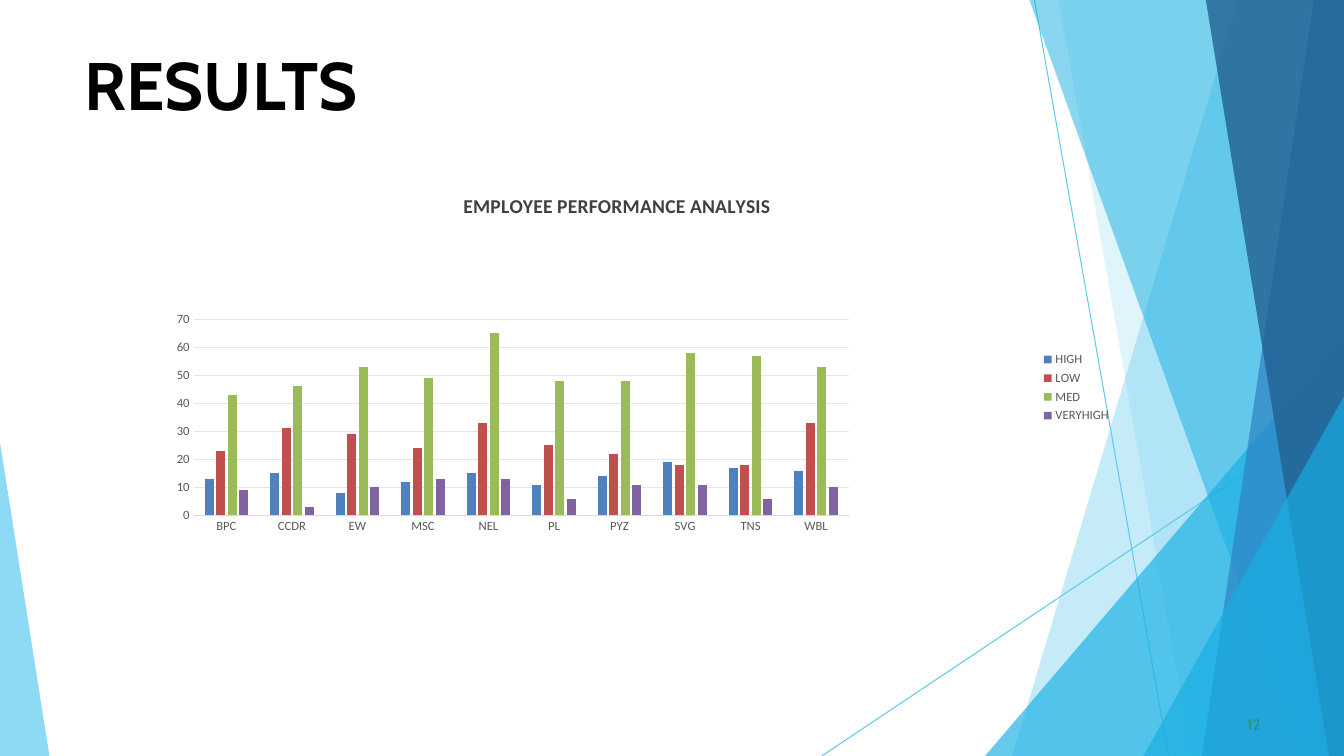
from lxml.etree import SubElement
from pptx import Presentation
from pptx.chart.data import CategoryChartData
from pptx.dml.color import RGBColor
from pptx.enum.chart import XL_CHART_TYPE, XL_LEGEND_POSITION, XL_TICK_MARK
from pptx.enum.shapes import MSO_CONNECTOR
from pptx.oxml.ns import qn
from pptx.util import Inches, Pt

WIDE, HIGH = 13.33, 7.5

BLACK = RGBColor(0x00, 0x00, 0x00)
GREEN = RGBColor(0x2D, 0x93, 0x6B)
SKY = RGBColor(0x5F, 0xCA, 0xEE)
CYAN = RGBColor(0x17, 0xAF, 0xE3)
BLUE = RGBColor(0x2D, 0x83, 0xC3)
NAVY = RGBColor(0x22, 0x61, 0x92)
DARK = RGBColor(0x40, 0x40, 0x40)
GREY = RGBColor(0x59, 0x59, 0x59)
AXIS = RGBColor(0xD9, 0xD9, 0xD9)
GRID = RGBColor(0xE6, 0xE6, 0xE6)

TEAMS = ["BPC", "CCDR", "EW", "MSC", "NEL", "PL", "PYZ", "SVG", "TNS", "WBL"]
LEVELS = [
    ("HIGH", RGBColor(0x4F, 0x81, 0xBD), [13, 15, 8, 12, 15, 11, 14, 19, 17, 16]),
    ("LOW", RGBColor(0xC0, 0x50, 0x4D), [23, 31, 29, 24, 33, 25, 22, 18, 18, 33]),
    ("MED", RGBColor(0x9B, 0xBB, 0x59), [43, 46, 53, 49, 65, 48, 48, 58, 57, 53]),
    ("VERYHIGH", RGBColor(0x80, 0x64, 0xA2), [9, 3, 10, 13, 13, 6, 11, 11, 6, 10]),
]


def band(top, base):
    """Full-height facet from a slanted left edge to the right of the slide."""
    return [(WIDE, 0), (top, 0), (base, HIGH), (WIDE, HIGH)]


def wedge(top, base):
    """Triangle in the bottom right corner."""
    return [(WIDE, top), (base, HIGH), (WIDE, HIGH)]


FACETS = [
    (band(12.28, 10.04), SKY, 36),
    (band(10.5, 11.82), SKY, 20),
    (wedge(3.33, 9.77), CYAN, 66),
    (band(10.21, 12.91), CYAN, 50),
    (band(13.03, 11.92), BLUE, 70),
    (band(11.96, 13.18), NAVY, 80),
    (wedge(3.93, 11.34), CYAN, 66),
    ([(0, 4.39), (0, HIGH), (0.49, HIGH)], SKY, 70),
]


class Deck:
    def __init__(self):
        self.file = Presentation()
        self.file.slide_width = Inches(WIDE)
        self.file.slide_height = Inches(HIGH)
        self.slide = self.file.slides.add_slide(self.file.slide_layouts[6])
        self.shapes = self.slide.shapes
        self.face = "Cabin"
        self.plain = "Calibri"

    def style(self, font, face, size, color, bold=False):
        font.name = face
        font.size = Pt(size)
        font.color.rgb = color
        font.bold = bold

    def line(self, x1, y1, x2, y2):
        ends = [Inches(v) for v in (x1, y1, x2, y2)]
        line = self.shapes.add_connector(MSO_CONNECTOR.STRAIGHT, *ends)
        line.line.color.rgb = SKY
        line.line.width = Pt(0.75)
        SubElement(line._element.spPr, qn("a:effectLst"))

    def facet(self, points, color, alpha):
        spots = [(Inches(x), Inches(y)) for x, y in points]
        pen = self.shapes.build_freeform(*spots[0])
        pen.add_line_segments(spots[1:], close=True)
        shape = pen.convert_to_shape()
        shape.shadow.inherit = False
        shape.line.fill.background()
        shape.fill.solid()
        shape.fill.fore_color.rgb = color
        tint = shape._element.spPr.find(qn("a:solidFill"))[0]
        SubElement(tint, qn("a:alpha"), val=str(alpha * 1000))

    def text(self, words, box, size, color, indent, bold=False):
        frame = self.shapes.add_textbox(*[Inches(v) for v in box]).text_frame
        frame.word_wrap = True
        frame.margin_left = frame.margin_right = frame.margin_bottom = 0
        frame.margin_top = Inches(0.01)
        frame.text = words
        line = frame.paragraphs[0]
        line._p.get_or_add_pPr().set("marL", str(Inches(indent)))
        self.style(line.runs[0].font, self.face, size, color, bold)

    def chart(self, title, box, plot):
        data = CategoryChartData()
        data.categories = TEAMS
        for name, _, values in LEVELS:
            data.add_series(name, values)
        chart = self.shapes.add_chart(
            XL_CHART_TYPE.COLUMN_CLUSTERED, *[Inches(v) for v in box], data
        ).chart
        self.style(chart.font, self.plain, 10, BLACK)

        chart.has_title = True
        head = chart.chart_title.text_frame
        head.text = title
        self.style(head.paragraphs[0].runs[0].font, self.plain, 14, DARK, True)

        chart.has_legend = True
        chart.legend.position = XL_LEGEND_POSITION.RIGHT
        chart.legend.include_in_layout = False
        self.style(chart.legend.font, self.plain, 9, GREY)

        bars = chart.plots[0]
        bars.vary_by_categories = False
        bars.gap_width = 246
        bars.overlap = -28
        for series, (_, color, _) in zip(bars.series, LEVELS):
            series.format.fill.solid()
            series.format.fill.fore_color.rgb = color

        for axis in (chart.category_axis, chart.value_axis):
            axis.major_tick_mark = axis.minor_tick_mark = XL_TICK_MARK.NONE
            self.style(axis.tick_labels.font, self.plain, 9, GREY)
        base = chart.category_axis.format.line
        base.color.rgb = AXIS
        base.width = Pt(0.75)
        scale = chart.value_axis
        scale.minimum_scale, scale.maximum_scale, scale.major_unit = 0, 70, 10
        scale.format.line.fill.background()
        grid = scale.major_gridlines.format.line
        grid.color.rgb = GRID
        grid.width = Pt(0.75)
        self.place(chart, plot)

    def place(self, chart, plot):
        """Fix the inner plot area, as fractions of the chart."""
        area = chart._chartSpace.chart.plotArea
        for old in area.findall(qn("c:layout")):
            area.remove(old)
        layout = SubElement(area, qn("c:layout"))
        area.insert(0, layout)
        manual = SubElement(layout, qn("c:manualLayout"))
        rules = [("layoutTarget", "inner"), ("xMode", "edge"), ("yMode", "edge")]
        for name, value in rules + list(zip("xywh", plot)):
            SubElement(manual, qn("c:" + name), val=str(value))


def main():
    deck = Deck()
    deck.line(10.26, 0, 11.59, HIGH)
    deck.line(WIDE, 4.04, 8.15, HIGH)
    for facet in FACETS:
        deck.facet(*facet)
    deck.text("RESULTS", (0.83, 0.42, 2.92, 0.82), 48, BLACK, 0.01, True)
    deck.text("12", (12.33, 7.08, 0.25, 0.21), 11, GREEN, 0.04)
    deck.chart("EMPLOYEE PERFORMANCE ANALYSIS", (1.12, 1.73, 10, 4.23),
               (0.08, 0.34, 0.65, 0.46))
    deck.file.save("out.pptx")


if __name__ == "__main__":
    main()
